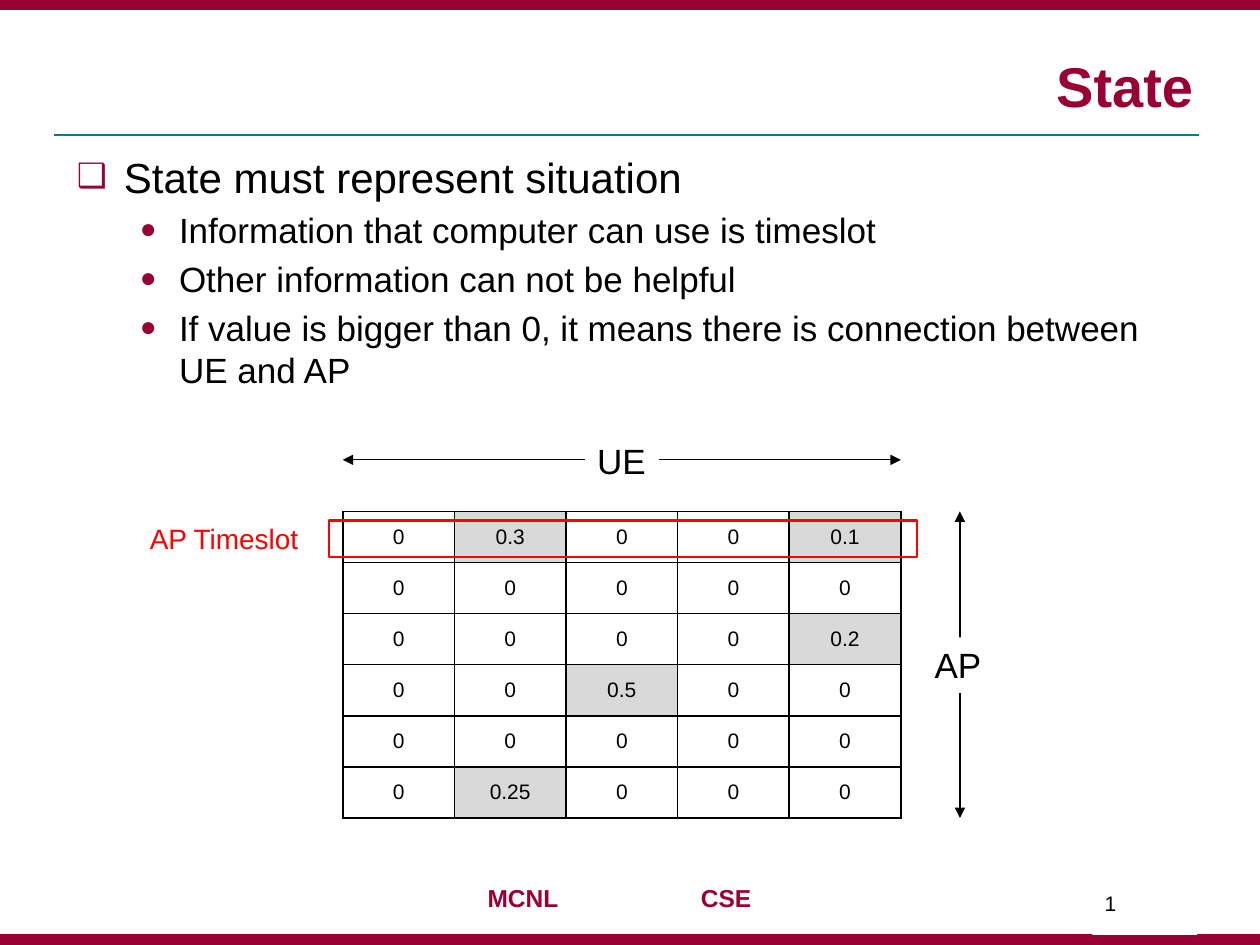
"""Build the State slide: bullet points above a timeslot grid of UE by AP."""
from lxml.etree import SubElement
from pptx import Presentation
from pptx.dml.color import RGBColor
from pptx.enum.shapes import MSO_CONNECTOR, MSO_SHAPE
from pptx.enum.text import MSO_ANCHOR, MSO_AUTO_SIZE, PP_ALIGN
from pptx.oxml.ns import qn
from pptx.util import Cm, Pt

theme = {
    "font": "Arial",
    "wine": RGBColor.from_string("990033"),
    "teal": RGBColor.from_string("008080"),
    "red": RGBColor.from_string("FF0000"),
    "black": RGBColor.from_string("000000"),
    "white": RGBColor.from_string("FFFFFF"),
    "grey": RGBColor.from_string("D9D9D9"),
    "title": 32, "head": 24, "point": 20, "tag": 16, "foot": 14, "cell": 12,
}


def write(par, text, size, color="black", bold=False, align=PP_ALIGN.LEFT):
    par.text = text
    par.alignment = align
    look = {"name": theme["font"], "size": Pt(theme[size]), "bold": bold}
    for run in par.runs:
        for key, value in look.items():
            setattr(run.font, key, value)
        run.font.color.rgb = theme[color]


def add(parent, tag, **attrs):
    return SubElement(parent, qn(tag), attrs)


deck = Presentation()
deck.slide_width, deck.slide_height = Cm(25.4), Cm(19.05)
slide = deck.slides.add_slide(deck.slide_layouts[5])
shapes = slide.shapes

title = shapes.title
place = {"left": 1.27, "top": 0.64, "width": 23.04, "height": 1.88}
for key, value in place.items():
    setattr(title, key, Cm(value))
title.text_frame.vertical_anchor = MSO_ANCHOR.BOTTOM
write(title.text_frame.paragraphs[0], "State", "title", "wine", True, PP_ALIGN.RIGHT)

for top in (0, 18.85):
    band = shapes.add_shape(MSO_SHAPE.RECTANGLE, 0, Cm(top), Cm(25.4), Cm(0.2))
    band.shadow.inherit = False
    band.fill.solid()
    band.fill.fore_color.rgb = band.line.color.rgb = theme["wine"]
    band.line.width = Pt(0.75)

left, top, wide, high = 6.91, 10.31, 2.25, 1.03
right, base = left + 5 * wide, top + 6 * high
rules = [
    (1.09, 2.72, 24.18, 2.72, "teal", 1, False),
    (left, 9.27, right, 9.27, "black", 0.75, True),
    (19.35, top, 19.35, base, "black", 0.75, True),
]
for x1, y1, x2, y2, color, weight, arrow in rules:
    rule = shapes.add_connector(MSO_CONNECTOR.STRAIGHT, Cm(x1), Cm(y1), Cm(x2), Cm(y2))
    rule.line.color.rgb = theme[color]
    rule.line.width = Pt(weight)
    if arrow:
        for end in ("a:headEnd", "a:tailEnd"):
            add(rule.line._get_or_add_ln(), end, type="triangle")
    add(rule._element.spPr, "a:effectLst")

points = [
    ("State must represent situation", 0),
    ("Information that computer can use is timeslot", 1),
    ("Other information can not be helpful", 1),
    ("If value is bigger than 0, it means there is connection between UE and AP", 1),
]
levels = [("head", "❑", 0.95, 0.95), ("point", "●", 2.06, 0.79)]
body = shapes.add_textbox(Cm(1.3), Cm(2.92), Cm(22.86), Cm(5.4)).text_frame
body.word_wrap = True
for i, (text, level) in enumerate(points):
    par = body.add_paragraph() if i else body.paragraphs[0]
    size, mark, inset, hang = levels[level]
    write(par, text, size)
    par.level = level
    par.space_before = Pt(theme[size] * 0.2)
    props = par._p.get_or_add_pPr()
    props.set("marL", str(Cm(inset)))
    props.set("indent", str(-Cm(hang)))
    add(add(props, "a:buClr"), "a:srgbClr", val=str(theme["wine"]))
    add(props, "a:buSzPct", val="80000")
    add(props, "a:buFont", typeface=theme["font"])
    add(props, "a:buChar", char=mark)

rows = [
    ["0", "0.3", "0", "0", "0.1"],
    ["0", "0", "0", "0", "0"],
    ["0", "0", "0", "0", "0.2"],
    ["0", "0", "0.5", "0", "0"],
    ["0", "0", "0", "0", "0"],
    ["0", "0.25", "0", "0", "0"],
]
grid = shapes.add_table(6, 5, Cm(left), Cm(top), Cm(5 * wide), Cm(6 * high)).table
grid.first_row = grid.horz_banding = False
for col in grid.columns:
    col.width = Cm(wide)
for r, row in enumerate(rows):
    grid.rows[r].height = Cm(high)
    for c, text in enumerate(row):
        cell = grid.cell(r, c)
        cell.vertical_anchor = MSO_ANCHOR.MIDDLE
        write(cell.text_frame.paragraphs[0], text, "cell", align=PP_ALIGN.CENTER)
        props = cell._tc.get_or_add_tcPr()
        for side in ("a:lnL", "a:lnR", "a:lnT", "a:lnB"):
            edge = add(props, side, w=str(Pt(1)))
            add(add(edge, "a:solidFill"), "a:srgbClr", val=str(theme["black"]))
        cell.fill.solid()
        cell.fill.fore_color.rgb = theme["white" if text == "0" else "grey"]

frame = shapes.add_shape(MSO_SHAPE.RECTANGLE, Cm(6.63), Cm(10.49), Cm(11.86), Cm(0.74))
frame.shadow.inherit = False
frame.fill.background()
frame.line.color.rgb = theme["red"]
frame.line.width = Pt(1.5)

labels = [
    ("UE", 11.79, 8.74, 1.5, 1.12, "point", "black", False),
    ("AP", 18.59, 12.85, 1.47, 1.12, "point", "black", False),
    ("AP Timeslot", 2.77, 10.39, 3.53, 0.94, "tag", "red", False),
    ("MCNL\tCSE", 9.58, 17.68, 5.87, 0.86, "foot", "wine", True),
    ("1", 22.02, 17.83, 2.11, 1.02, "cell", "black", False),
]
for text, x, y, w, h, size, color, bold in labels:
    label = shapes.add_textbox(Cm(x), Cm(y), Cm(w), Cm(h))
    label.fill.solid()
    label.fill.fore_color.rgb = theme["white"]
    label.text_frame.word_wrap = "\t" in text or text == "1"
    label.text_frame.auto_size = MSO_AUTO_SIZE.NONE
    par = label.text_frame.paragraphs[0]
    write(par, text, size, color, bold)
    if "\t" in text:
        tabs = add(par._p.get_or_add_pPr(), "a:tabLst")
        add(tabs, "a:tab", pos=str(Cm(4.3)), algn="l")

deck.save("out.pptx")
